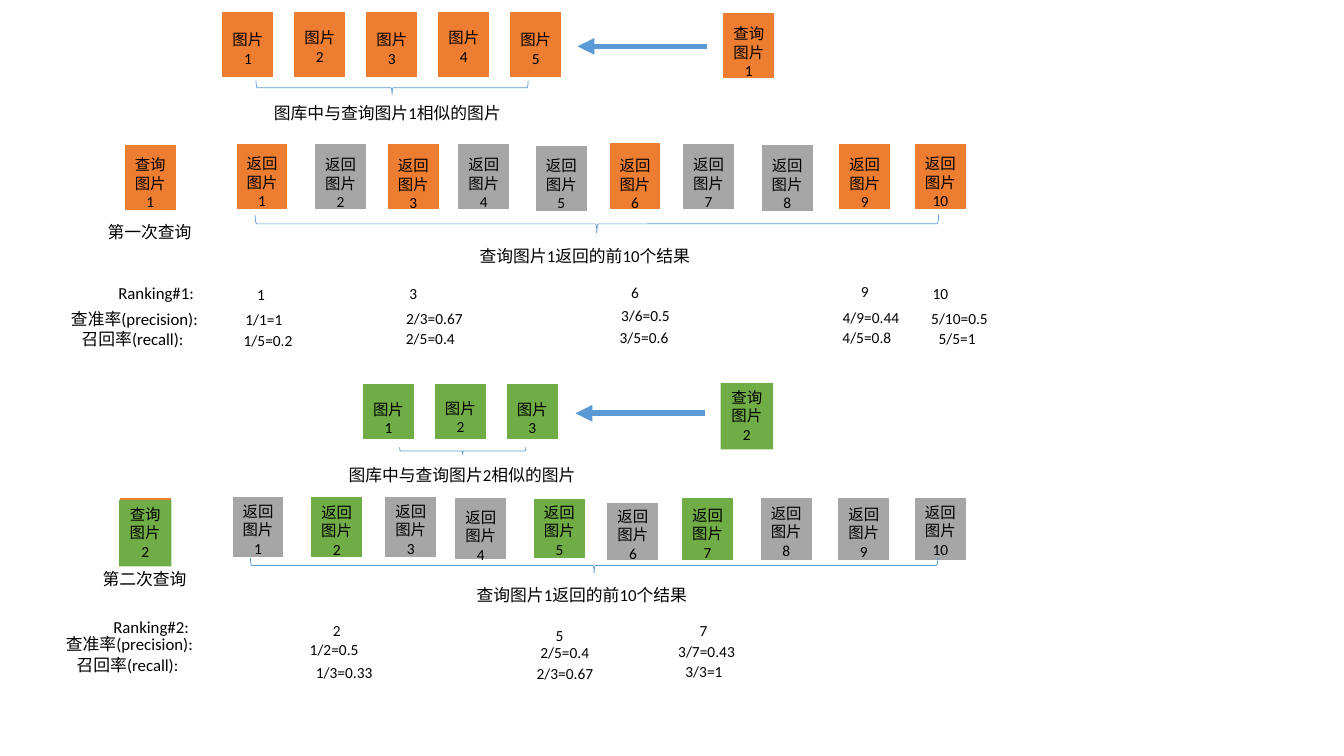
"""Build a slide that compares precision and recall over two image queries."""
from dataclasses import dataclass

from lxml.etree import SubElement
from pptx import Presentation
from pptx.dml.color import RGBColor
from pptx.enum.shapes import MSO_CONNECTOR, MSO_SHAPE
from pptx.enum.text import MSO_ANCHOR, MSO_AUTO_SIZE, PP_ALIGN
from pptx.oxml.ns import qn
from pptx.util import Pt


@dataclass(frozen=True)
class Theme:
    """Colours, font and sizes used on the slide."""
    orange: RGBColor = RGBColor(0xED, 0x7D, 0x31)
    green: RGBColor = RGBColor(0x70, 0xAD, 0x47)
    gray: RGBColor = RGBColor(0xA6, 0xA6, 0xA6)
    blue: RGBColor = RGBColor(0x5B, 0x9B, 0xD5)
    white: RGBColor = RGBColor(0xFF, 0xFF, 0xFF)
    black: RGBColor = RGBColor(0, 0, 0)
    font: str = "Calibri"
    label_size: int = 11
    caption_size: int = 12
    card_width: float = 37.4


THEME = Theme()


def write_text(text_frame, text, size, alignment):
    """Put one wrapped black paragraph into a text frame."""
    text_frame.word_wrap = True
    text_frame.auto_size = MSO_AUTO_SIZE.SHAPE_TO_FIT_TEXT
    text_frame.vertical_anchor = MSO_ANCHOR.TOP
    text_frame.text = text
    paragraph = text_frame.paragraphs[0]
    paragraph.alignment = alignment
    for run in paragraph.runs:
        run.font.name = THEME.font
        run.font.size = Pt(size)
        run.font.color.rgb = THEME.black


def add_text(slide, left, top, width, text, size=THEME.label_size,
             alignment=PP_ALIGN.CENTER, lines=1):
    """Add a text box whose height follows its number of lines."""
    height = lines * size * 1.1 + 7.2
    box = slide.shapes.add_textbox(Pt(left), Pt(top), Pt(width), Pt(height))
    write_text(box.text_frame, text, size, alignment)


def add_caption(slide, left, top, width, text, alignment=PP_ALIGN.LEFT):
    """Add a one-line caption or row heading."""
    add_text(slide, left, top, width, text, THEME.caption_size, alignment)


def add_card(slide, left, top, height, color, outlined=True, width=THEME.card_width):
    """Add a filled rectangle that stands for one image."""
    card = slide.shapes.add_shape(
        MSO_SHAPE.RECTANGLE, Pt(left), Pt(top), Pt(width), Pt(height))
    card.shadow.inherit = False
    card.fill.solid()
    card.fill.fore_color.rgb = color
    if outlined:
        card.line.color.rgb = THEME.white
        card.line.width = Pt(1)
    else:
        card.line.fill.background()
    return card


def add_query_card(slide, left, top, text):
    """Add a green query card that holds its own text."""
    card = add_card(slide, left, top, 47.5, THEME.green, outlined=False)
    write_text(card.text_frame, text, THEME.label_size, PP_ALIGN.CENTER)


def add_labelled_card(slide, left, top, height, color, text, label_top, lines=3):
    """Add an image card with its label in front."""
    add_card(slide, left, top, height, color)
    add_text(slide, left, label_top, THEME.card_width, text, lines=lines)


def add_gallery(slide, first_left, top, height, color, label_tops):
    """Add the evenly spaced gallery images that match a query."""
    for index, label_top in enumerate(label_tops):
        add_labelled_card(slide, first_left + 51.4 * index, top, height, color,
                          f"图片{index + 1}", label_top, lines=2)


def add_results(slide, cards, relevant, color):
    """Add ranked results, coloured where the result is relevant."""
    for rank, (left, top, height, label_top) in enumerate(cards, start=1):
        fill = color if rank in relevant else THEME.gray
        add_labelled_card(slide, left, top, height, fill, f"返回图片{rank}", label_top)


def add_brace(slide, left, top, width, depth):
    """Add a horizontal brace that points down, from its visible bounds."""
    brace = slide.shapes.add_shape(
        MSO_SHAPE.LEFT_BRACE, Pt(left + (width - depth) / 2),
        Pt(top + (depth - width) / 2), Pt(depth), Pt(width))
    brace.rotation = 270
    brace.shadow.inherit = False
    brace.fill.background()
    brace.line.color.rgb = THEME.blue
    brace.line.width = Pt(0.5)


def add_arrow(slide, start, end, top):
    """Add a thick arrow from a query to its gallery images."""
    arrow = slide.shapes.add_connector(
        MSO_CONNECTOR.STRAIGHT, Pt(start), Pt(top), Pt(end), Pt(top))
    arrow.line.color.rgb = THEME.blue
    arrow.line.width = Pt(4)
    SubElement(arrow.line._get_or_add_ln(), qn("a:tailEnd"), type="triangle")
    SubElement(arrow._element.spPr, qn("a:effectLst"))


def add_scores(slide, headings, scores):
    """Add the row headings and the rank, precision and recall values."""
    for left, top, width, text in headings:
        add_caption(slide, left, top, width, text, PP_ALIGN.CENTER)
    for left, top, width, text in scores:
        add_text(slide, left, top, width, text)


def add_first_query(slide):
    """Draw the upper half: query 1 with five relevant images."""
    add_gallery(slide, 158.4, 8, 47.5, THEME.orange, [18, 16.6, 18, 16.6, 18])
    add_arrow(slide, 504.7, 412.6, 33.1)
    add_labelled_card(slide, 516.2, 8.6, 47.5, THEME.orange, "查询图片1", 13.7)
    add_labelled_card(slide, 88.6, 103, 47.5, THEME.orange, "查询图片1", 107.3)
    add_brace(slide, 182.9, 57.6, 194.4, 10)
    add_caption(slide, 188.6, 69.8, 181, "图库中与查询图片1相似的图片")
    cards = [(168.5, 102.2, 47.5, 106.6), (224.6, 102.2, 47.5, 107.3),
             (276.5, 102.2, 47.5, 108), (326.9, 102.6, 47.5, 107.3),
             (382.3, 103.7, 47.5, 108), (434.9, 102, 47.5, 108),
             (487.4, 102.4, 47.5, 107.3), (543.6, 103.4, 47.5, 108),
             (599, 102.4, 47.5, 107.3), (653, 102.4, 47.5, 106.6)]
    add_results(slide, cards, {1, 3, 6, 9, 10}, THEME.orange)
    add_caption(slide, 69.8, 154.8, 83.5, "第一次查询")
    add_brace(slide, 182.2, 153.4, 488.2, 13)
    add_caption(slide, 335.5, 172.1, 181.4, "查询图片1返回的前10个结果")
    headings = [(69.8, 198.7, 83.5, "Ranking#1:"),
                (39.6, 216.7, 113, "查准率(precision):"),
                (38.2, 231.1, 113, "召回率(recall):")]
    scores = [(167.8, 200.2, 37.4, "1"), (276.5, 199.4, 37.4, "3"),
              (434.9, 198.7, 37.4, "6"), (599, 198, 37.4, "9"),
              (653, 199.4, 37.4, "10"),
              (163.4, 218.2, 50.4, "1/1=1"), (275.8, 217.4, 69.1, "2/3=0.67"),
              (433.4, 215.3, 55.4, "3/6=0.5"), (594, 216.7, 56.2, "4/9=0.44"),
              (652.3, 217.4, 66.2, "5/10=0.5"),
              (165.6, 232.6, 51.8, "1/5=0.2"), (274.3, 231.8, 66.2, "2/5=0.4"),
              (432.7, 231.1, 54.7, "3/5=0.6"), (592.6, 231.1, 53.3, "4/5=0.8"),
              (650.9, 231.8, 65.5, "5/5=1")]
    add_scores(slide, headings, scores)


def add_second_query(slide):
    """Draw the lower half: query 2 with three relevant images."""
    add_gallery(slide, 258.8, 273.8, 40.3, THEME.green, [282.2, 281.5, 282.2])
    add_arrow(slide, 503.3, 411.1, 295.2)
    add_query_card(slide, 514.8, 273.6, "查询图片2")
    add_card(slide, 85, 355, 40.3, THEME.orange)
    add_query_card(slide, 85, 357.1, "查询图片2")
    add_brace(slide, 285.5, 319.3, 90, 5.8)
    add_caption(slide, 241.9, 328.3, 183, "图库中与查询图片2相似的图片")
    cards = [(165.6, 354.2, 44, 355), (221.8, 354.2, 44, 355.7),
             (274.7, 354.2, 44, 355), (324.7, 355, 44.6, 359.3),
             (380.9, 355.7, 43.2, 355.7), (433.4, 358.6, 41.8, 358.6),
             (486.7, 355, 45.4, 357.8), (542.9, 355, 45.4, 356.4),
             (598.3, 355, 45.4, 357.1), (653, 355, 45.4, 355.7)]
    add_results(slide, cards, {2, 5, 7}, THEME.green)
    add_caption(slide, 66.2, 402.5, 83.5, "第二次查询")
    add_brace(slide, 178.9, 398.5, 491, 10.8)
    add_caption(slide, 333.4, 414, 182.2, "查询图片1返回的前10个结果")
    headings = [(66.2, 437, 83.5, "Ranking#2:"),
                (36, 449.3, 113, "查准率(precision):"),
                (34.6, 464.4, 113, "召回率(recall):")]
    scores = [(221.8, 439.9, 37.4, "2"), (380.9, 443.5, 37.4, "5"),
              (483.8, 439.9, 37.4, "7"),
              (213.1, 453.6, 51.1, "1/2=0.5"), (368.6, 455.8, 69.8, "2/5=0.4"),
              (476.6, 455, 56.2, "3/7=0.43"),
              (215.3, 470.2, 61.2, "1/3=0.33"), (370.1, 470.9, 67, "2/3=0.67"),
              (475.2, 469.4, 55.4, "3/3=1")]
    add_scores(slide, headings, scores)


def main():
    """Create the presentation and save it."""
    presentation = Presentation()
    presentation.slide_width = Pt(960)
    presentation.slide_height = Pt(540)
    slide = presentation.slides.add_slide(presentation.slide_layouts[6])
    add_first_query(slide)
    add_second_query(slide)
    presentation.save("out.pptx")


if __name__ == "__main__":
    main()
